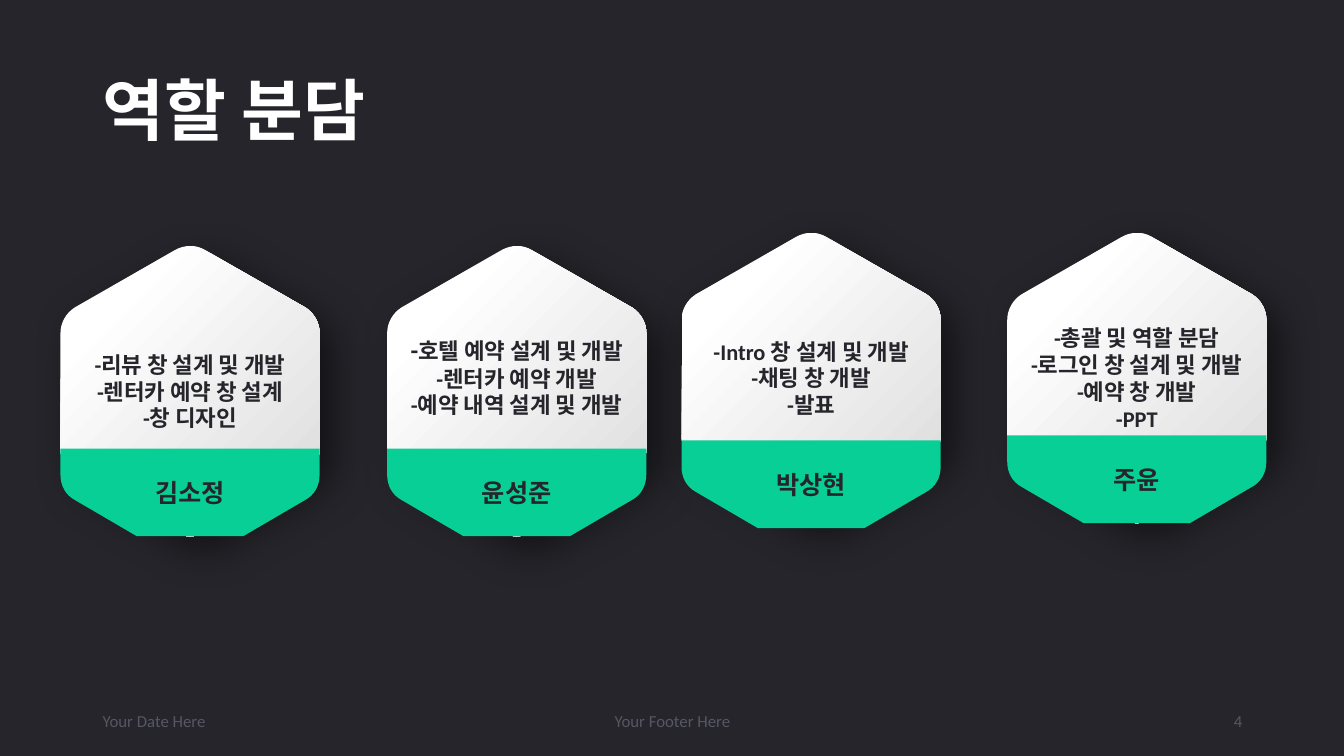
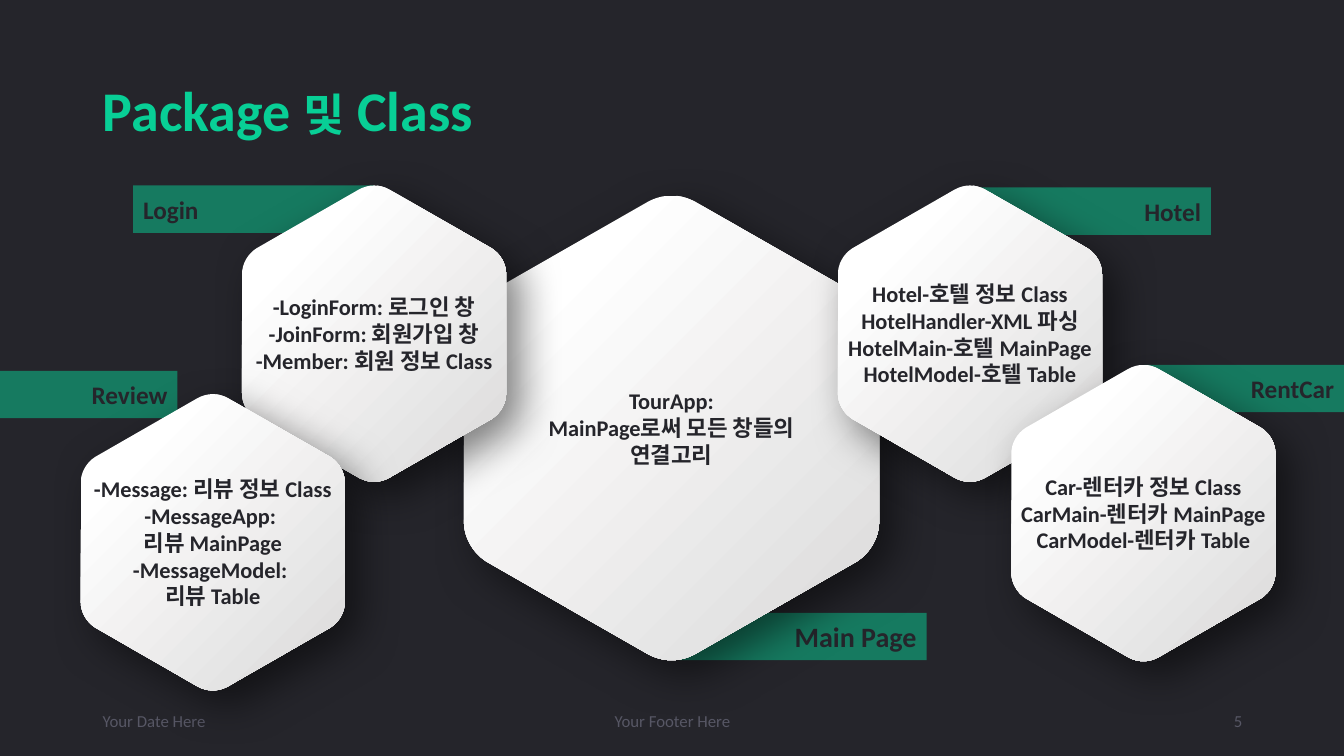
from lxml import etree
from pptx import Presentation
from pptx.dml.color import RGBColor
from pptx.enum.shapes import MSO_SHAPE
from pptx.enum.text import MSO_ANCHOR, MSO_AUTO_SIZE, PP_ALIGN
from pptx.oxml.ns import qn
from pptx.util import Inches, Pt

LEFT, CENTER, RIGHT = PP_ALIGN.LEFT, PP_ALIGN.CENTER, PP_ALIGN.RIGHT
MIDDLE = MSO_ANCHOR.MIDDLE
NO_AUTOFIT = MSO_AUTO_SIZE.NONE
RECTANGLE = MSO_SHAPE.RECTANGLE

COLORS = {
    "dark": "25252B",
    "green": "08CF96",
    "white": "FFFFFF",
    "silver": "DAD9D9",
    "footer": "575765",
    "shadow": "000000",
}
FONT = "Calibri"
TITLE_ONLY = 5
CARD_INSETS = (0.06, 0.03, 0.06, 0.03)
RAISED_INSETS = (0.06, 0.03, 0.06, 0.32)

APEX = [(0.5, 0), (0.52, 0), (0.54, 0.005), (0.558, 0.014)]
SHOULDER = [(0.945, 0.212), (0.98, 0.232), (1, 0.266), (1, 0.3)]
BAND_CORNER = [(1, 0.3), (1, 0.425), (0.98, 0.53), (0.945, 0.586)]
HEXAGON_SEGMENTS = "CLCLCLC" * 2
BAND_SEGMENTS = "LCLLLCL"

MEMBER_SIZE = (2.57, 2.88)
MEMBERS = [
    (0.6, 2.44, 4.45, "김소정", CARD_INSETS,
     ["-리뷰 창 설계 및 개발", "-렌터카 예약 창 설계", "-창 디자인"]),
    (3.84, 2.44, 4.45, "윤성준", RAISED_INSETS,
     [[("-", 18), ("호텔 예약 설계 및 개발", 16)], "-렌터카 예약 개발",
      "-예약 내역 설계 및 개발"]),
    (6.76, 2.31, 4.37, "박상현", CARD_INSETS,
     ["-Intro 창 설계 및 개발", "-채팅 창 개발", "-발표"]),
    (9.99, 2.31, 4.32, "주윤", CARD_INSETS,
     ["-총괄 및 역할 분담", "-로그인 창 설계 및 개발", "-예약 창 개발", "-PPT"]),
]

LABELS = [
    ("Login", 1.32, 1.84, 2.39, LEFT, 18),
    ("RentCar", 11.35, 3.62, 1.98, RIGHT, 18),
    ("Main Page", 6.74, 6.08, 2.45, RIGHT, 20),
    ("Review", 0, 3.68, 1.76, RIGHT, 18),
    ("Hotel", 9.62, 1.86, 2.39, RIGHT, 18),
]
MAIN_SIZE = (4.12, 4.61)
PACKAGE_SIZE = (2.62, 2.94)
PACKAGES = [
    (4.6, 1.94, MAIN_SIZE, ["TourApp:", "MainPage로써 모든 창들의", "연결고리"]),
    (2.4, 1.84, PACKAGE_SIZE,
     ["-LoginForm: 로그인 창", "-JoinForm: 회원가입 창", "-Member: 회원 정보 Class"]),
    (0.8, 3.91, PACKAGE_SIZE,
     ["-Message: 리뷰 정보 Class", "-MessageApp: ", "리뷰 MainPage",
      "-MessageModel: ", "리뷰 Table"]),
    (8.31, 1.84, PACKAGE_SIZE,
     ["Hotel-호텔 정보 Class", "HotelHandler-XML 파싱",
      "HotelMain-호텔 MainPage", "HotelModel-호텔 Table"]),
    (10.03, 3.62, PACKAGE_SIZE,
     ["Car-렌터카 정보 Class", "CarMain-렌터카 MainPage", "CarModel-렌터카 Table"]),
]


def rgb(name):
    """Return the named palette colour."""
    return RGBColor.from_string(COLORS[name])


def write(shape, paragraphs, size=16, color="dark", bold=True, align=CENTER,
          insets=(0.1, 0.05, 0.1, 0.05), line_spacing=None):
    """Fill a shape with paragraphs, each a string or a list of (text, size) runs."""
    frame = shape.text_frame
    frame.word_wrap = True
    frame.auto_size = NO_AUTOFIT
    frame.vertical_anchor = MIDDLE
    (frame.margin_left, frame.margin_top,
     frame.margin_right, frame.margin_bottom) = map(Inches, insets)
    for index, content in enumerate(paragraphs):
        paragraph = frame.add_paragraph() if index else frame.paragraphs[0]
        paragraph.alignment = align
        paragraph.line_spacing = line_spacing
        runs = [(content, size)] if isinstance(content, str) else content
        for text, run_size in runs:
            run = paragraph.add_run()
            run.text = text
            run.font.name = FONT
            run.font.size = Pt(run_size)
            run.font.bold = bold
            run.font.color.rgb = rgb(color)
            etree.SubElement(run.font.fill._xPr, qn("a:ea"), typeface=FONT)


def mirrored(points):
    """Return the points flipped left to right, in reverse order."""
    return [(1 - x, y) for x, y in reversed(points)]


def hexagon_points():
    """Return the rounded hexagon's points and curve handles in unit coordinates."""
    upper = APEX + SHOULDER
    right_half = upper + [(x, 1 - y) for x, y in reversed(upper)]
    return right_half + mirrored(right_half)[1:]


def band_points():
    """Return the name band's points and curve handles in unit coordinates."""
    right_half = [(1, 0)] + BAND_CORNER + [(0.705, 1)]
    return right_half + mirrored(right_half)


def add_outline(slide, unit_points, segments, left, top, width, height):
    """Draw a scaled outline whose segments are lines (L) or cubic curves (C)."""
    points = [(Inches(left + x * width), Inches(top + y * height))
              for x, y in unit_points]
    builder = slide.shapes.build_freeform(*points[0])
    builder.add_line_segments(points[1:], close=True)
    shape = builder.convert_to_shape()
    steps = iter(list(shape.element.iter(qn("a:lnTo"))))
    for segment in segments:
        step = next(steps)
        if segment == "C":
            step.tag = qn("a:cubicBezTo")
            for _ in range(2):
                following = next(steps)
                step.append(following[0])
                following.getparent().remove(following)
    shape.shadow.inherit = False
    shape.line.fill.background()
    return shape


def add_soft_shadow(shape):
    """Give a shape a soft shadow towards the lower right."""
    effects = shape.element.spPr.find(qn("a:effectLst"))
    shadow = etree.SubElement(
        effects, qn("a:outerShdw"), blurRad=str(Pt(30)), dist=str(Pt(14)),
        dir="2700000", algn="tl", rotWithShape="0")
    color = etree.SubElement(shadow, qn("a:srgbClr"), val=COLORS["shadow"])
    etree.SubElement(color, qn("a:alpha"), val="50000")


def add_hexagon(slide, left, top, size, lines, insets=CARD_INSETS):
    """Add a shaded hexagon card with its lines of text."""
    card = add_outline(slide, hexagon_points(), HEXAGON_SEGMENTS, left, top, *size)
    card.fill.gradient()
    card.fill.gradient_angle = 315
    stops = card.fill.gradient_stops
    for stop, position, color in zip(stops, (0.2, 1), ("white", "silver")):
        stop.position = position
        stop.color.rgb = rgb(color)
    add_soft_shadow(card)
    write(card, lines, insets=insets)


def add_name_band(slide, left, top, name):
    """Add the green band that names a member."""
    band = add_outline(
        slide, band_points(), BAND_SEGMENTS, left, top, MEMBER_SIZE[0], 0.87)
    band.fill.solid()
    band.fill.fore_color.rgb = rgb("green")
    write(band, [name], size=18)


def add_label(slide, text, left, top, width, align, size):
    """Add a half-transparent package label."""
    label = slide.shapes.add_shape(
        RECTANGLE, Inches(left), Inches(top), Inches(width), Inches(0.47))
    label.shadow.inherit = False
    label.line.fill.background()
    label.fill.solid()
    label.fill.fore_color.rgb = rgb("green")
    color = label.element.spPr.find(qn("a:solidFill")).find(qn("a:srgbClr"))
    etree.SubElement(color, qn("a:alpha"), val="50000")
    write(label, [text], size=size, align=align)


def add_footers(slide, number):
    """Add the date, footer and slide number."""
    for text, left, width, align in (
            ("Your Date Here", 0.92, 3, LEFT),
            ("Your Footer Here", 4.42, 4.5, CENTER),
            (str(number), 9.42, 3, RIGHT)):
        box = slide.shapes.add_textbox(
            Inches(left), Inches(6.95), Inches(width), Inches(0.4))
        write(box, [text], size=12, color="footer", bold=False, align=align)


def set_up_template(prs):
    """Set the slide size, the shared background and the title position."""
    prs.slide_width, prs.slide_height = Inches(13.33), Inches(7.5)
    background = prs.slide_master.background.fill
    background.solid()
    background.fore_color.rgb = rgb("dark")
    title = prs.slide_layouts[TITLE_ONLY].placeholders[0]
    title.left, title.top = Inches(0.92), Inches(0.4)
    title.width, title.height = Inches(11.5), Inches(1.45)


def add_slide(prs, title, color, number):
    """Add a slide with its title and footers."""
    slide = prs.slides.add_slide(prs.slide_layouts[TITLE_ONLY])
    write(slide.shapes.title, [title], color=color, align=LEFT, line_spacing=0.9)
    add_footers(slide, number)
    return slide


def main():
    """Build and save the presentation."""
    prs = Presentation()
    set_up_template(prs)

    roles = add_slide(prs, [("역할 분담", 48)], "white", 4)
    for left, top, band_top, name, insets, tasks in MEMBERS:
        add_hexagon(roles, left, top, MEMBER_SIZE, tasks, insets)
        add_name_band(roles, left, band_top, name)

    packages = add_slide(
        prs, [("Package ", 40), ("및", 32), (" Class", 40)], "green", 5)
    for label in LABELS:
        add_label(packages, *label)
    for package in PACKAGES:
        add_hexagon(packages, *package)

    prs.save("out.pptx")


if __name__ == "__main__":
    main()
